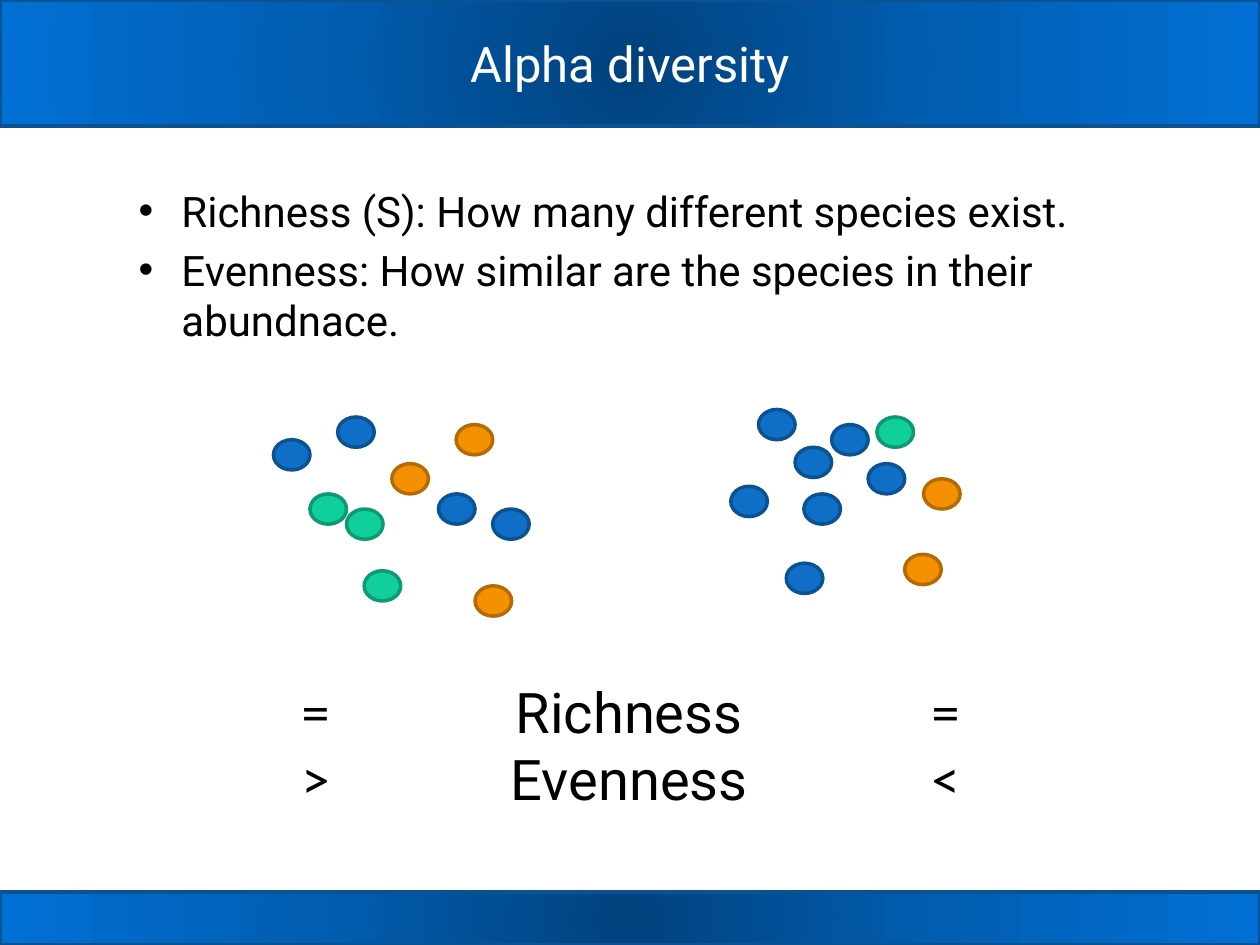
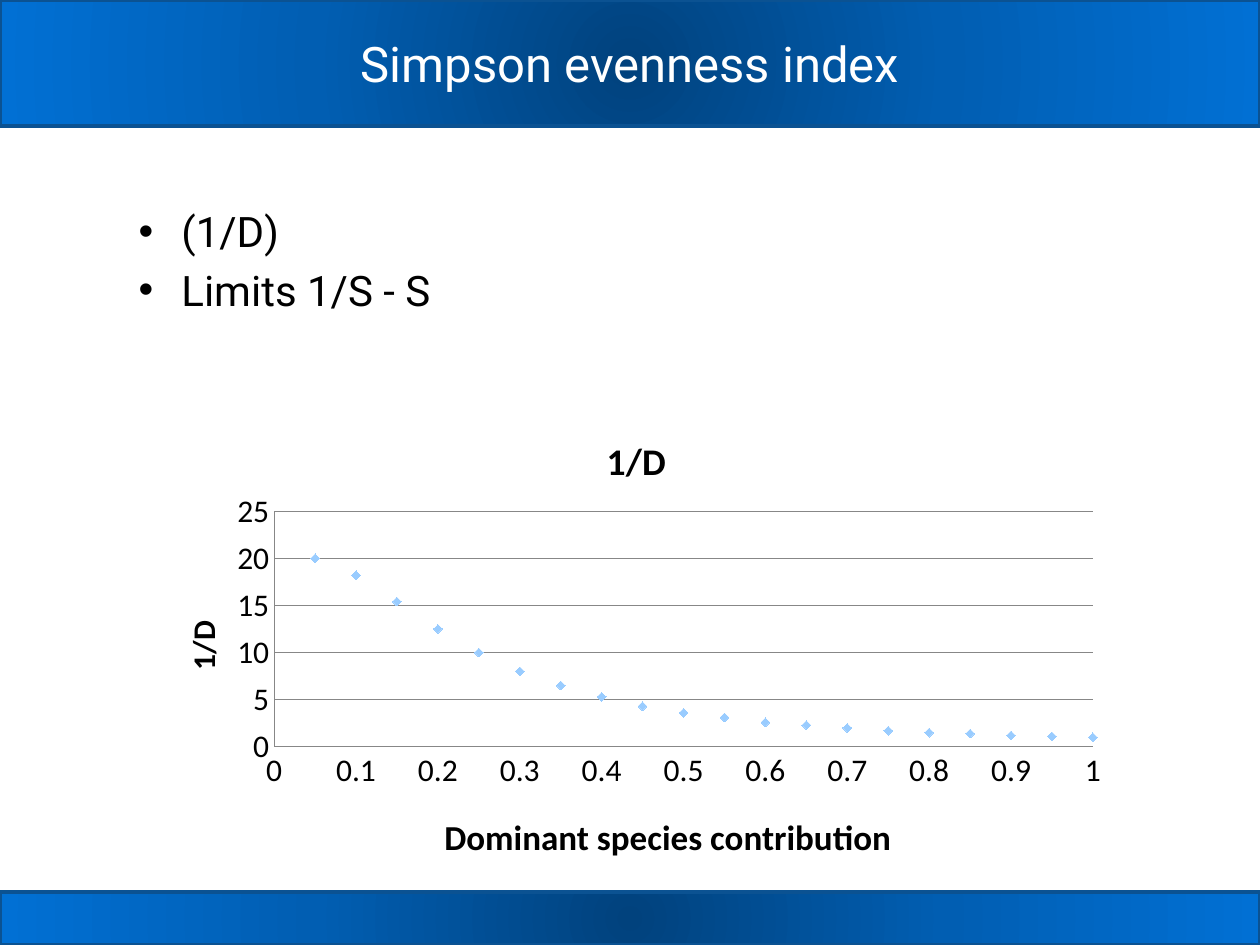
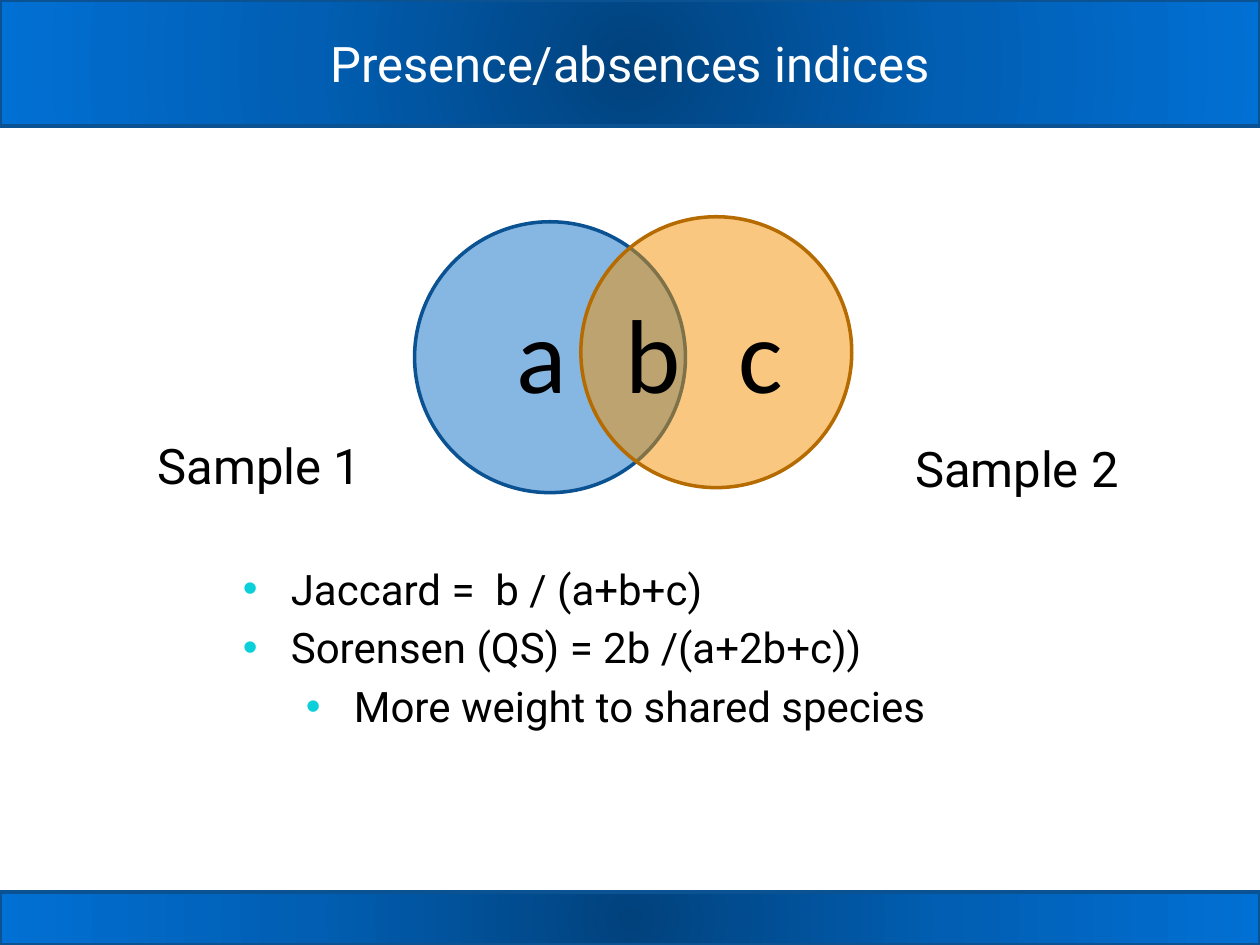
from pptx import Presentation
from pptx.chart.data import XyChartData
from pptx.dml.color import RGBColor
from pptx.enum.chart import XL_CHART_TYPE, XL_MARKER_STYLE, XL_TICK_MARK
from pptx.enum.shapes import MSO_SHAPE
from pptx.enum.text import MSO_ANCHOR, MSO_AUTO_SIZE, PP_ALIGN
from pptx.oxml import parse_xml
from pptx.oxml.ns import nsdecls, qn
from pptx.util import Inches, Pt

COLORS = {
    "black": "000000", "white": "FFFFFF", "grey": "878787",
    "blue": "0F6FC6", "blue line": "0B5292",
    "orange": "F49100", "orange line": "B56B00",
    "green": "10CF9B", "green line": "0C9973",
    "teal": "0BD0D9", "point": "99CCFF",
    "deep": "01427D", "mid": "015EB2", "bright": "0170D4",
}


def color(name):
    return RGBColor.from_string(COLORS[name])


def box(left, top, width, height):
    return [Inches(n) for n in (left, top, width, height)]


def style(font, size, face, ink="black", bold=False):
    font.name, font.size, font.bold = face, Pt(size), bold
    font.color.rgb = color(ink)


def bullet(para, indent, hang, ink):
    para.space_before = Pt(4.8)
    props = para._p.get_or_add_pPr()
    props.set("marL", str(Inches(indent)))
    props.set("indent", str(-Inches(hang)))
    for part in (f'<a:buClr {nsdecls("a")}><a:srgbClr val="{COLORS[ink]}"/></a:buClr>',
                 f'<a:buFont {nsdecls("a")} typeface="Arial"/>',
                 f'<a:buChar {nsdecls("a")} char="•"/>'):
        props.append(parse_xml(part))


def write(frame, text, size=24, face="Roboto", ink="black", bold=False,
          align=None, dot=None, hang=0.34):
    """Write one paragraph per line; a leading tab makes a sub-item."""
    for num, line in enumerate(text.split("\n")):
        para = frame.add_paragraph() if num else frame.paragraphs[0]
        para.level = int(line.startswith("\t"))
        para.alignment = align
        run = para.add_run()
        run.text = line.strip()
        style(run.font, size, face, ink, bold)
        if dot:
            bullet(para, hang + 0.5 * para.level, hang, dot)


def blend(shape):
    """Fill a shape with the dark-centred round gradient."""
    stops = "".join(
        f'<a:gs pos="{pos}"><a:srgbClr val="{COLORS[name]}"/></a:gs>'
        for pos, name in ((0, "deep"), (50000, "mid"), (100000, "bright")))
    grad = parse_xml(
        f'<a:gradFill {nsdecls("a")} rotWithShape="1"><a:gsLst>{stops}</a:gsLst>'
        '<a:path path="circle"><a:fillToRect l="50000" t="50000" r="50000" b="50000"/>'
        '</a:path></a:gradFill>')
    props = shape.element.spPr
    props.replace(props.find(qn("a:solidFill")), grad)


def place(node, x, y, w=None, h=None):
    """Fix a chart part's place, in fractions of the chart."""
    inner = '<c:layoutTarget val="inner"/>' if w else ""
    modes = '<c:xMode val="edge"/><c:yMode val="edge"/>'
    sizes = "".join(f'<c:{key} val="{val}"/>'
                    for key, val in zip("xywh", (x, y, w, h)) if val)
    new = parse_xml(f'<c:layout {nsdecls("c")}><c:manualLayout>'
                    f'{inner}{modes}{sizes}</c:manualLayout></c:layout>')
    old = node.find(qn("c:layout"))
    if old is None:
        node.insert(0, new)
    else:
        node.replace(old, new)


class Deck:
    def __init__(self):
        self.prs = Presentation()
        self.prs.slide_width, self.prs.slide_height = Inches(10), Inches(7.5)
        self.slide = None

    def start(self, title):
        first = self.slide is None
        self.slide = self.prs.slides.add_slide(self.prs.slide_layouts[1])
        if first:
            self.bands()
        head = self.slide.shapes.title
        head.left, head.top, head.width, head.height = box(1, 0, 8, 1)
        head.text_frame.vertical_anchor = MSO_ANCHOR.MIDDLE
        write(head.text_frame, title, size=28, ink="white", align=PP_ALIGN.CENTER)

    def bands(self):
        """Put the top and bottom bands on the master, behind all else."""
        tree = self.prs.slide_master.shapes.element
        for top, height in ((0, 1), (7.08, 0.42)):
            band = self.shape(MSO_SHAPE.RECTANGLE, 0, top, 10, height, "blue")
            blend(band)
            tree.insert(2, band.element)

    def shape(self, kind, left, top, width, height, fill, alpha=None):
        shape = self.slide.shapes.add_shape(kind, *box(left, top, width, height))
        shape.shadow.inherit = False
        shape.fill.solid()
        shape.fill.fore_color.rgb = color(fill)
        shape.line.color.rgb = color(fill + " line")
        shape.line.width = Pt(2)
        if alpha:
            tint = shape.element.spPr.find(qn("a:solidFill"))[0]
            tint.append(parse_xml(f'<a:alpha {nsdecls("a")} val="{alpha * 1000}"/>'))
        return shape

    def body(self, text, left, top, width, height):
        hold = self.slide.placeholders[1]
        hold.left, hold.top, hold.width, hold.height = box(left, top, width, height)
        hold.text_frame.auto_size = MSO_AUTO_SIZE.NONE
        write(hold.text_frame, text, dot="black")

    def drop(self):
        """Remove the unused body placeholder."""
        node = self.slide.placeholders[1].element
        node.getparent().remove(node)

    def text(self, text, left, top, width, height, wrap=True, **look):
        frame = self.slide.shapes.add_textbox(*box(left, top, width, height)).text_frame
        frame.word_wrap = wrap
        frame.auto_size = MSO_AUTO_SIZE.SHAPE_TO_FIT_TEXT
        write(frame, text, **look)

    def scatter(self, title, points, left, top, width, height):
        data = XyChartData()
        series = data.add_series("Series 1")
        for x, y in points:
            series.add_data_point(x, y)
        chart = self.slide.shapes.add_chart(
            XL_CHART_TYPE.XY_SCATTER, *box(left, top, width, height), data).chart
        style(chart.font, 18, "Calibri")
        chart.has_legend = False
        chart.has_title = chart.value_axis.has_title = True
        for part, size, spot in ((chart.chart_title, 21.5, (0.47, 0.07)),
                                 (chart.value_axis.axis_title, 18, (0.04, 0.54))):
            write(part.text_frame, title, size=size, face="Calibri", bold=True)
            place(part.text_frame._txBody.getparent().getparent(), *spot)
        place(chart.element.find(f".//{qn('c:plotArea')}"), 0.14, 0.28, 0.83, 0.59)

        for axis, high, step in ((chart.category_axis, 1, 0.1),
                                 (chart.value_axis, 25, 5)):
            axis.minimum_scale, axis.maximum_scale = 0, high
            axis.major_unit = step
            axis.major_tick_mark = axis.minor_tick_mark = XL_TICK_MARK.NONE
            axis.tick_labels.number_format = "General"
            axis.tick_labels.number_format_is_linked = False
            axis.format.line.color.rgb = color("grey")
            axis.has_major_gridlines = axis is not chart.category_axis and high > 1
        grid = chart.value_axis.major_gridlines.format.line
        grid.color.rgb, grid.width = color("grey"), Pt(0.75)

        plot = chart.plots[0]
        plot.vary_by_categories = False
        dots = plot.series[0]
        dots.format.line.fill.background()
        dots.marker.style, dots.marker.size = XL_MARKER_STYLE.DIAMOND, 5
        dots.marker.format.fill.solid()
        dots.marker.format.fill.fore_color.rgb = color("point")
        dots.marker.format.line.fill.background()


def alpha_slide(deck):
    deck.start("Alpha diversity")
    deck.body("Richness (S): How many different species exist.\n"
              "Evenness: How similar are the species in their abundnace.",
              1, 1.42, 7.83, 1.42)
    mid = PP_ALIGN.CENTER
    deck.text("Richness\nEvenness", 3.08, 5.33, 3.83, 1.18, size=32, align=mid)
    even = {
        "blue": [(2.17, 3.49), (2.68, 3.31), (3.48, 3.92), (3.91, 4.04)],
        "orange": [(3.11, 3.68), (3.62, 3.37), (3.77, 4.65)],
        "green": [(2.46, 3.92), (2.75, 4.04), (2.89, 4.53)],
    }
    skewed = {
        "blue": [(6.02, 3.25), (6.89, 3.68), (6.38, 3.92), (6.24, 4.47),
                 (5.8, 3.86), (6.31, 3.55), (6.6, 3.37)],
        "orange": [(7.18, 4.4), (7.33, 3.8)],
        "green": [(6.96, 3.31)],
    }
    for sample in (even, skewed):
        for fill, spots in sample.items():
            for left, top in spots:
                deck.shape(MSO_SHAPE.OVAL, left, top, 0.29, 0.24, fill)
    for signs, left, width in (("=\n<", 6.92, 1.17), ("=\n>", 1.88, 1.25)):
        deck.text(signs, left, 5.32, width, 1.18, size=32, face="Calibri", align=mid)


def simpson_slide(deck):
    deck.start("Simpson evenness index")
    deck.body("(1/D)\nLimits 1/S - S", 1, 1.58, 8.08, 4.83)
    values = [20, 18.2, 15.4, 12.5, 10, 8, 6.5, 5.3, 4.3, 3.6,
              3.1, 2.6, 2.3, 2, 1.7, 1.5, 1.4, 1.2, 1.1, 1]
    points = [(num / 20, val) for num, val in enumerate(values, 1)]
    deck.scatter("1/D", points, 1.08, 3.17, 7.83, 3.17)
    deck.text("Dominant species contribution", 3.41, 6.42, 3.78, 0.44, wrap=False,
              size=20, face="Calibri", bold=True, align=PP_ALIGN.CENTER)


def presence_slide(deck):
    deck.start("Presence/absences indices")
    deck.drop()
    for left, top, fill in ((3.29, 1.76, "blue"), (4.61, 1.72, "orange")):
        deck.shape(MSO_SHAPE.OVAL, left, top, 2.15, 2.15, fill, alpha=50)
    for label, left, top in (("Sample 1", 1.13, 3.41), ("Sample 2", 7.14, 3.43)):
        deck.text(label, left, top, 1.86, 0.57, wrap=False, size=28,
                  align=PP_ALIGN.CENTER)
    for part, left, width in (("a", 4, 0.61), ("b", 4.87, 0.64), ("c", 5.76, 0.56)):
        deck.text(part, left, 2.24, width, 1.11, wrap=False, size=60, face="Calibri")
    deck.text("Jaccard =  b / (a+b+c)\nSorensen (QS) = 2b /(a+2b+c))\n"
              "\tMore weight to shared species",
              1.83, 4.42, 8.42, 1.47, dot="teal", hang=0.38)


def main():
    deck = Deck()
    alpha_slide(deck)
    simpson_slide(deck)
    presence_slide(deck)
    deck.prs.save("out.pptx")


if __name__ == "__main__":
    main()
